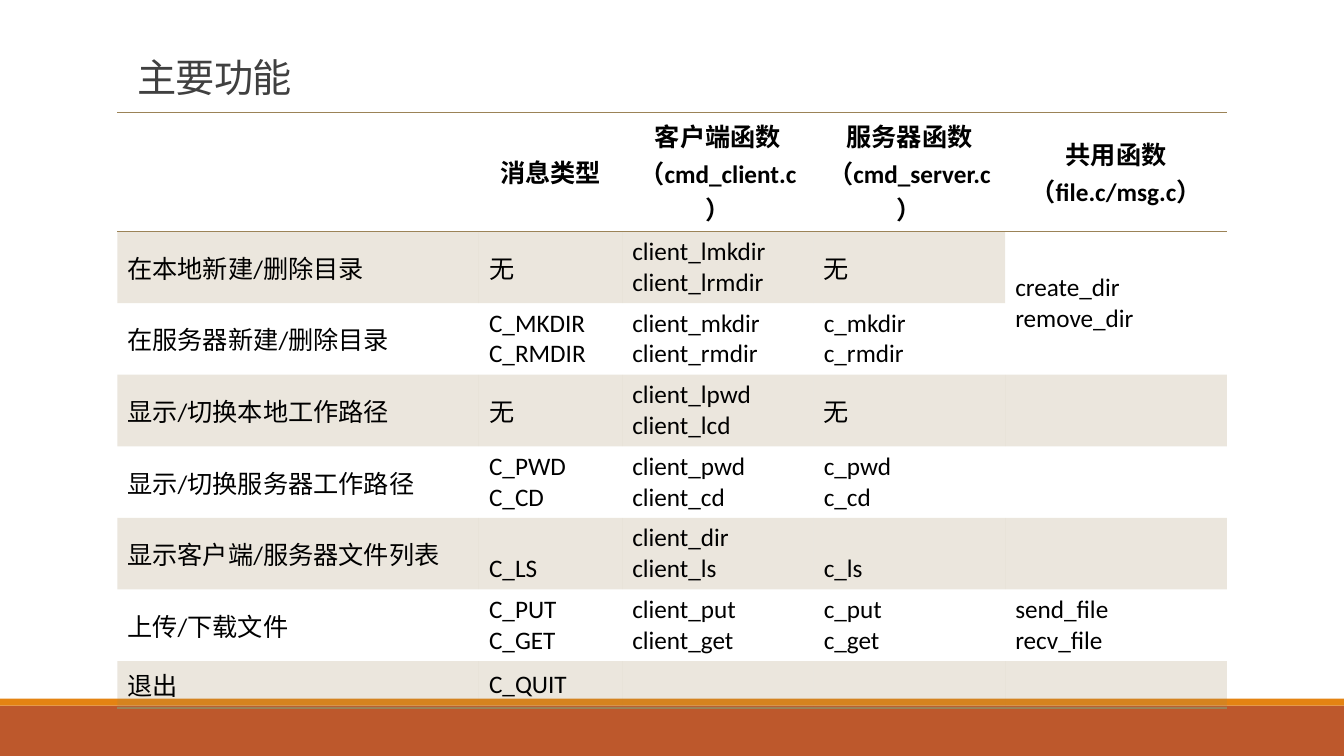
from dataclasses import dataclass

from lxml.etree import SubElement
from pptx import Presentation
from pptx.dml.color import RGBColor
from pptx.enum.lang import MSO_LANGUAGE_ID
from pptx.enum.shapes import MSO_CONNECTOR, MSO_SHAPE
from pptx.enum.text import MSO_ANCHOR, PP_ALIGN
from pptx.oxml.ns import qn
from pptx.slide import Slide
from pptx.table import _Cell
from pptx.text.text import TextFrame
from pptx.util import Pt

FONT = "Calibri"
ACCENT = "9B8357"
TABLE_STYLE = "{2D5ABB26-0587-4C30-8999-92F81FD0307C}"
TABLE_LEFT = 83.75
TABLE_TOP = 80.2
COLUMN_WIDTHS = [258.4, 102.3, 136.8, 136.8, 158.4]
HEADER_HEIGHT = 85.2
FEATURE_HEIGHT = 51.15
EXIT_HEIGHT = 33.5


@dataclass
class Bar:
    top: float
    height: float
    color: str


@dataclass
class Feature:
    name: str
    message: str
    client: str = ""
    server: str = ""
    shared: str = ""
    anchor: MSO_ANCHOR = MSO_ANCHOR.MIDDLE
    height: float = FEATURE_HEIGHT

    def texts(self) -> list[str]:
        return [self.name, self.message, self.client, self.server, self.shared]


BARS = [Bar(504, 36, "BD582C"), Bar(499, 5, "E48312")]
HEADER = Feature(
    "",
    "消息类型",
    "客户端函数（cmd_client.c）",
    "服务器函数\n（cmd_server.c）",
    "共用函数\n（file.c/msg.c）",
    height=HEADER_HEIGHT,
)
FEATURES = [
    Feature("在本地新建/删除目录", "无", "client_lmkdir\nclient_lrmdir", "无", "create_dir\nremove_dir"),
    Feature("在服务器新建/删除目录", "C_MKDIR\nC_RMDIR", "client_mkdir\nclient_rmdir", "c_mkdir\nc_rmdir"),
    Feature("显示/切换本地工作路径", "无", "client_lpwd\nclient_lcd", "无"),
    Feature("显示/切换服务器工作路径", "C_PWD\nC_CD", "client_pwd\nclient_cd", "c_pwd\nc_cd"),
    Feature("显示客户端/服务器文件列表", "C_LS", "client_dir\nclient_ls", "c_ls", anchor=MSO_ANCHOR.BOTTOM),
    Feature("上传/下载文件", "C_PUT\nC_GET", "client_put\nclient_get", "c_put\nc_get", "send_file\nrecv_file"),
    Feature("退出", "C_QUIT", height=EXIT_HEIGHT),
]


def rgb(color: str) -> RGBColor:
    return RGBColor.from_string(color)


def format_text(frame: TextFrame, size: float, color: str, bold: bool = False) -> None:
    for para in frame.paragraphs:
        for span in para.runs:
            span.font.name = FONT
            span.font.size = Pt(size)
            span.font.bold = bold
            span.font.color.rgb = rgb(color)
            span.font.language_id = MSO_LANGUAGE_ID.SIMPLIFIED_CHINESE


def add_bar(page: Slide, bar: Bar) -> None:
    shape = page.shapes.add_shape(MSO_SHAPE.RECTANGLE, 0, Pt(bar.top), Pt(960), Pt(bar.height))
    shape.shadow.inherit = False
    shape.fill.solid()
    shape.fill.fore_color.rgb = rgb(bar.color)
    shape.line.fill.background()


def add_rule(page: Slide) -> None:
    top = Pt(TABLE_TOP)
    rule = page.shapes.add_connector(MSO_CONNECTOR.STRAIGHT, Pt(86.4), top, Pt(871.2), top)
    rule.line.color.rgb = rgb("808080")
    rule.line.width = Pt(0.5)
    SubElement(rule._element.spPr, qn("a:effectLst"))


def add_title(page: Slide, text: str) -> None:
    box = page.shapes.add_textbox(Pt(91), Pt(34.6), Pt(792), Pt(41))
    frame = box.text_frame
    frame.word_wrap = True
    frame.vertical_anchor = MSO_ANCHOR.BOTTOM
    frame.text = text
    frame.paragraphs[0].line_spacing = 0.85
    format_text(frame, 28, "404040")
    for span in frame.paragraphs[0].runs:
        span.font._element.set("spc", "-50")


def add_border(cell: _Cell, side: str) -> None:
    properties = cell._tc.get_or_add_tcPr()
    border = SubElement(properties, qn(f"a:ln{side}"), w=str(Pt(1)))
    fill = SubElement(border, qn("a:solidFill"))
    SubElement(fill, qn("a:srgbClr"), val=ACCENT)


def tint_cell(cell: _Cell, color: str) -> None:
    cell.fill.solid()
    cell.fill.fore_color.rgb = rgb(color)
    fill = cell._tc.get_or_add_tcPr().find(qn("a:solidFill"))
    SubElement(fill[0], qn("a:alpha"), val="20000")


def add_feature_table(page: Slide) -> None:
    features = [HEADER, *FEATURES]
    last = len(features) - 1
    table = page.shapes.add_table(
        len(features),
        len(COLUMN_WIDTHS),
        Pt(TABLE_LEFT),
        Pt(TABLE_TOP),
        Pt(sum(COLUMN_WIDTHS)),
        Pt(sum(feature.height for feature in features)),
    ).table
    table._tbl.tblPr.find(qn("a:tableStyleId")).text = TABLE_STYLE
    for column, width in zip(table.columns, COLUMN_WIDTHS):
        column.width = Pt(width)

    for row_index, feature in enumerate(features):
        table.rows[row_index].height = Pt(feature.height)
        for column_index, text in enumerate(feature.texts()):
            cell = table.cell(row_index, column_index)
            cell.text_frame.text = text
            cell.vertical_anchor = feature.anchor if column_index else MSO_ANCHOR.MIDDLE
            format_text(cell.text_frame, 18, "000000", bold=row_index == 0)
            if row_index == 0:
                add_border(cell, "T")
                for para in cell.text_frame.paragraphs:
                    para.alignment = PP_ALIGN.CENTER
            if row_index in (0, last):
                add_border(cell, "B")
            if row_index % 2:
                tint_cell(cell, ACCENT)
            else:
                cell.fill.background()

    shared_cell = table.cell(1, 4)
    shared_cell.merge(table.cell(2, 4))
    tint_cell(shared_cell, "FFFFFF")


def main() -> None:
    deck = Presentation()
    deck.slide_width, deck.slide_height = Pt(960), Pt(540)
    page = deck.slides.add_slide(deck.slide_layouts[6])
    for bar in BARS:
        add_bar(page, bar)
    add_rule(page)
    add_title(page, "主要功能")
    add_feature_table(page)
    deck.save("out.pptx")


if __name__ == "__main__":
    main()
